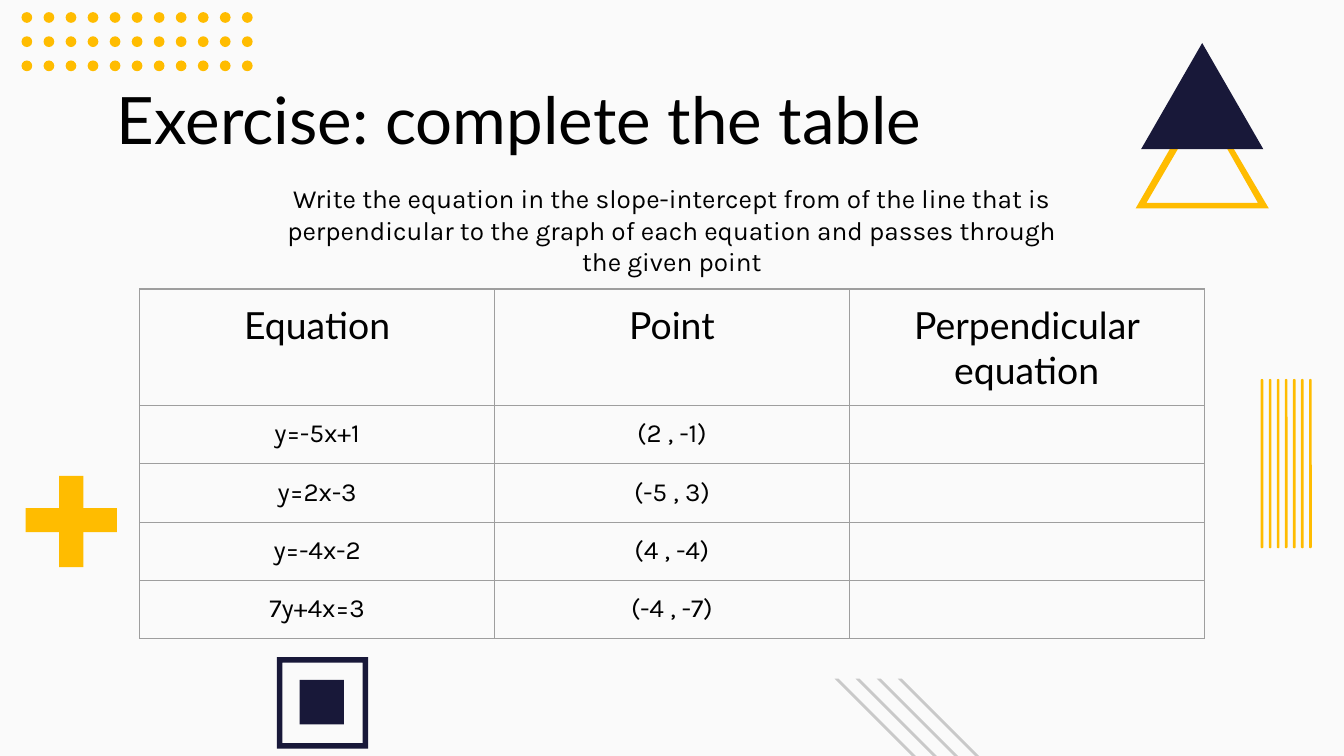
import lxml.etree
import pptx
import pptx.dml.color
import pptx.enum.shapes
import pptx.enum.text
import pptx.oxml.ns
import pptx.util

Inches = pptx.util.Inches
Shapes = pptx.enum.shapes.MSO_SHAPE
Align = pptx.enum.text.PP_ALIGN

PAPER = pptx.dml.color.RGBColor(0xFA, 0xFA, 0xFA)
YELLOW = pptx.dml.color.RGBColor(0xFF, 0xBC, 0x00)
NAVY = pptx.dml.color.RGBColor(0x18, 0x18, 0x39)
GREY = pptx.dml.color.RGBColor(0xC9, 0xC9, 0xC9)
BORDER = pptx.dml.color.RGBColor(0x9E, 0x9E, 0x9E)
BLACK = pptx.dml.color.RGBColor(0x00, 0x00, 0x00)

ROWS = [
    ("Equation", "Point", "Perpendicular equation"),
    ("y=-5x+1", "(2 , -1)", ""),
    ("y=2x-3", "(-5 , 3)", ""),
    ("y=-4x-2", "(4 , -4)", ""),
    ("7y+4x=3", "(-4 , -7)", ""),
]


def paint(shape, color):
    shape.shadow.inherit = False
    shape.fill.solid()
    shape.fill.fore_color.rgb = color
    shape.line.fill.background()


def add_preset(group, kind, left, top, width, height, color):
    shape = group.shapes.add_shape(
        kind, Inches(left), Inches(top), Inches(width), Inches(height))
    paint(shape, color)
    return shape


def add_outline(group, contours, color):
    """Fill one or more closed contours as a single shape."""
    contours = [[(Inches(x), Inches(y)) for x, y in points] for points in contours]
    builder = group.shapes.build_freeform(*contours[0][0])
    builder.add_line_segments(contours[0][1:], close=True)
    for points in contours[1:]:
        builder.move_to(*points[0])
        builder.add_line_segments(points[1:], close=True)
    paint(builder.convert_to_shape(), color)


def style_paragraph(para, font_name, size, align):
    para.alignment = align
    para.font.name = font_name
    para.font.size = pptx.util.Pt(size)
    para.font.color.rgb = BLACK


def set_margins(holder):
    holder.margin_left = holder.margin_right = Inches(0.1)
    holder.margin_top = holder.margin_bottom = Inches(0.1)


def add_text(page, left, top, width, height, text, font_name, size, align):
    box = page.shapes.add_textbox(
        Inches(left), Inches(top), Inches(width), Inches(height))
    box.text_frame.word_wrap = True
    set_margins(box.text_frame)
    para = box.text_frame.paragraphs[0]
    para.text = text
    style_paragraph(para, font_name, size, align)


def set_borders(cell):
    properties = cell._tc.get_or_add_tcPr()
    for index, side in enumerate(("lnL", "lnR", "lnT", "lnB")):
        line = lxml.etree.Element(
            pptx.oxml.ns.qn("a:" + side), w=str(pptx.util.Pt(0.75)))
        fill = lxml.etree.SubElement(line, pptx.oxml.ns.qn("a:solidFill"))
        lxml.etree.SubElement(fill, pptx.oxml.ns.qn("a:srgbClr"), val=str(BORDER))
        properties.insert(index, line)


def add_exercise_table(page):
    # Rows grow to fit their text
    row_height = Inches(0.42)
    table = page.shapes.add_table(
        len(ROWS), len(ROWS[0]), Inches(1.04), Inches(2.15),
        Inches(7.92), row_height * len(ROWS)).table
    table.first_row = False
    table.horz_banding = False
    for column in table.columns:
        column.width = Inches(2.64)
    for row_index, texts in enumerate(ROWS):
        header = row_index == 0
        table.rows[row_index].height = row_height
        for column_index, text in enumerate(texts):
            cell = table.cell(row_index, column_index)
            cell.fill.background()
            set_borders(cell)
            para = cell.text_frame.paragraphs[0]
            if text:
                set_margins(cell)
                para.text = text
            style_paragraph(para, "Lato" if header else "Karla",
                            20 if header else 14, Align.CENTER)


def add_triangles(page):
    group = page.shapes.add_group_shape()
    add_outline(group, [[(8.95, 0.79), (9.36, 1.51), (8.53, 1.51)],
                        [(8.94, 0.7), (8.45, 1.55), (9.44, 1.55)]], YELLOW)
    add_preset(group, Shapes.ISOSCELES_TRIANGLE, 8.49, 0.32, 0.91, 0.79, NAVY)


def add_dots(page):
    group = page.shapes.add_group_shape()
    for row in range(3):
        for column in range(11):
            add_preset(group, Shapes.OVAL, 0.16 + 1.64 * column / 10,
                       0.09 + 0.18 * row, 0.08, 0.08, YELLOW)


def add_diagonals(page):
    group = page.shapes.add_group_shape()
    for index in range(4):
        left = 6.21 + 0.47 * index / 3
        add_outline(group, [[(left, 5.05), (left + 1.22, 6.27),
                             (left + 1.25, 6.27), (left + 0.03, 5.05)]], GREY)


def add_bars(page):
    group = page.shapes.add_group_shape()
    for index in range(7):
        bar = add_preset(group, Shapes.ROUNDED_RECTANGLE,
                         9.38 + 0.06 * index, 2.82, 0.02, 1.26, YELLOW)
        bar.adjustments[0] = 0.5


def add_square(page):
    group = page.shapes.add_group_shape()
    frame = add_preset(group, Shapes.FRAME, 2.06, 4.89, 0.68, 0.68, NAVY)
    frame.adjustments[0] = 0.06
    add_preset(group, Shapes.RECTANGLE, 2.23, 5.06, 0.33, 0.33, NAVY)


def add_plus(page):
    group = page.shapes.add_group_shape()
    add_preset(group, Shapes.RECTANGLE, 0.44, 3.54, 0.18, 0.68, YELLOW)
    add_preset(group, Shapes.RECTANGLE, 0.19, 3.78, 0.68, 0.18, YELLOW)


def main():
    deck = pptx.Presentation()
    deck.slide_width = Inches(10)
    deck.slide_height = Inches(10 * 9 / 16)
    page = deck.slides.add_slide(deck.slide_layouts[6])
    page.background.fill.solid()
    page.background.fill.fore_color.rgb = PAPER

    # Decorations
    add_triangles(page)
    add_dots(page)
    add_diagonals(page)
    add_bars(page)
    add_square(page)
    add_plus(page)

    # Title and instructions
    add_text(page, 0.77, 0.49, 8.45, 0.63, "Exercise: complete the table",
             "Lato", 35, Align.LEFT)
    add_text(page, 1.94, 1.26, 6.12, 0.59,
             "Write the equation in the slope-intercept from of the line that is "
             "perpendicular to the graph of each equation and passes through "
             "the given point", "Karla", 14, Align.CENTER)

    # Exercise
    add_exercise_table(page)
    deck.save("out.pptx")


if __name__ == "__main__":
    main()
